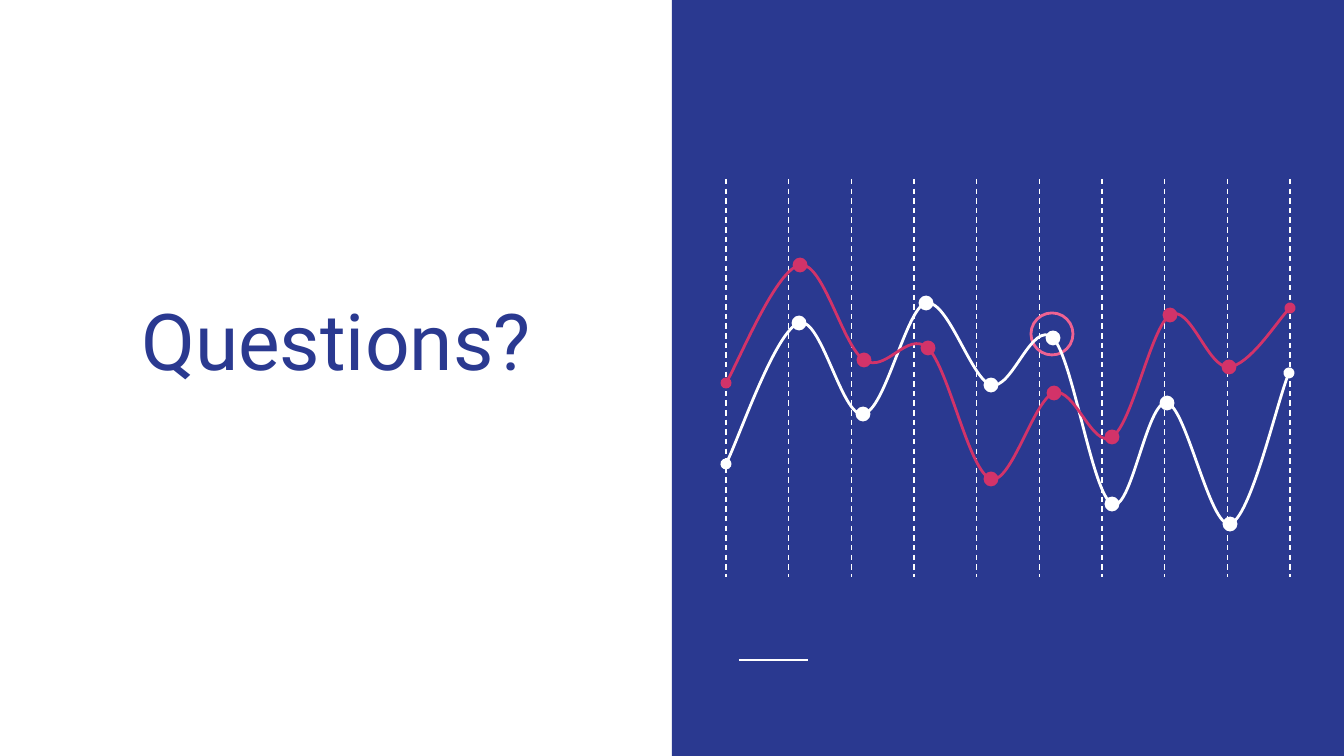
from lxml.etree import SubElement
from pptx import Presentation
from pptx.dml.color import RGBColor
from pptx.enum.dml import MSO_LINE_DASH_STYLE as DASH
from pptx.enum.shapes import MSO_CONNECTOR, MSO_SHAPE
from pptx.enum.text import MSO_ANCHOR, PP_ALIGN
from pptx.oxml.ns import qn
from pptx.util import Pt

EMU_PER_PX = 914400 / 134.4
SLIDE_WIDTH, SLIDE_HEIGHT = 1344, 756
FONT = "Roboto"
COLORS = {
    "navy": "2A3990",
    "white": "FFFFFF",
    "crimson": "D23369",
    "pink": "F06292",
}
GUIDE_COUNT = 10
MARKER_SIZE = 12

# Each curve has a start point, then rows of two control points and an anchor.
WHITE_CURVE = [
    (0, 285),
    (12, 262), (50, 152), (73, 144),
    (95, 136), (116, 239), (137, 235),
    (159, 233), (180, 129), (200, 124),
    (222, 120), (245, 200), (265, 206),
    (286, 212), (306, 140), (327, 159),
    (347, 179), (366, 314), (386, 325),
    (405, 336), (421, 220), (441, 224),
    (460, 227), (484, 349), (504, 345),
    (524, 340), (552, 219), (563, 194),
]
CRIMSON_CURVE = [
    (0, 204),
    (12, 184), (51, 90), (74, 86),
    (97, 82), (117, 168), (138, 181),
    (160, 195), (181, 151), (202, 169),
    (223, 190), (243, 293), (265, 300),
    (285, 306), (308, 220), (328, 214),
    (348, 207), (367, 271), (386, 258),
    (406, 246), (425, 148), (444, 136),
    (464, 124), (482, 190), (503, 188),
    (523, 186), (554, 138), (564, 129),
]


def px(length):
    return round(length * EMU_PER_PX)


def rgb(name):
    return RGBColor.from_string(COLORS[name])


def style_shape(shape, fill=None, line=None):
    shape.shadow.inherit = False
    if fill:
        shape.fill.solid()
        shape.fill.fore_color.rgb = rgb(fill)
    else:
        shape.fill.background()
    if line:
        shape.line.color.rgb = rgb(line)
        shape.line.width = Pt(1.5)
    else:
        shape.line.fill.background()


def add_shape(shapes, kind, box, fill=None, line=None):
    shape = shapes.add_shape(kind, *map(px, box))
    style_shape(shape, fill, line)


def add_line(shapes, start, end, width, dash=None):
    line = shapes.add_connector(MSO_CONNECTOR.STRAIGHT, *map(px, (*start, *end)))
    line.line.color.rgb = rgb("white")
    line.line.width = Pt(width)
    if dash:
        line.line.dash_style = dash
    SubElement(line._element.spPr, qn("a:effectLst"))


def add_curve(shapes, points, color):
    """Draw a Bezier curve with round ends, turning each three segments into one."""
    builder = shapes.build_freeform(*points[0], scale=EMU_PER_PX)
    builder.add_line_segments(points[1:], close=False)
    curve = builder.convert_to_shape()
    style_shape(curve, line=color)

    segments = list(curve._element.iter(qn("a:lnTo")))
    for first in range(0, len(segments), 3):
        bezier = SubElement(segments[first].getparent(), qn("a:cubicBezTo"))
        for segment in segments[first:first + 3]:
            bezier.append(segment[0])
            segment.getparent().remove(segment)

    outline = curve.line._get_or_add_ln()
    for end in ("a:headEnd", "a:tailEnd"):
        SubElement(outline, qn(end), type="oval")


def add_series(slide, box, points, color):
    left, top, _, _ = box
    placed = [(left + x, top + y) for x, y in points]
    shapes = slide.shapes.add_group_shape().shapes
    add_curve(shapes, placed, color)
    for x, y in placed[3:-1:3]:
        corner = (x - MARKER_SIZE / 2, y - MARKER_SIZE / 2)
        add_shape(shapes, MSO_SHAPE.OVAL, (*corner, MARKER_SIZE, MARKER_SIZE), color, color)


def add_guides(slide, box):
    left, top, width, height = box
    shapes = slide.shapes.add_group_shape().shapes
    for index in range(GUIDE_COUNT):
        x = left + index * width / (GUIDE_COUNT - 1)
        add_line(shapes, (x, top), (x, top + height), 0.75, DASH.DASH)


def add_plot(slide, box):
    left, top, _, _ = box
    add_guides(slide, box)
    add_shape(slide.shapes, MSO_SHAPE.OVAL, (left + 305, top + 134, 42, 42), line="pink")
    add_series(slide, box, WHITE_CURVE, "white")
    add_series(slide, box, CRIMSON_CURVE, "crimson")


def add_panel(slide, box):
    left, top, _, _ = box
    add_shape(slide.shapes, MSO_SHAPE.RECTANGLE, box, "navy")
    add_line(slide.shapes, (left + 67, top + 660), (left + 136, top + 660), 1.5)
    add_plot(slide, (left + 54, top + 179, 564, 398))


def add_title(slide, box):
    title = slide.shapes.add_textbox(*map(px, box))
    frame = title.text_frame
    frame.word_wrap = True
    frame.vertical_anchor = MSO_ANCHOR.BOTTOM
    frame.margin_left = frame.margin_right = px(13)
    frame.margin_top = frame.margin_bottom = px(13)
    frame.text = "Questions?"
    paragraph = frame.paragraphs[0]
    paragraph.alignment = PP_ALIGN.CENTER
    font = paragraph.runs[0].font
    font.name = FONT
    font.size = Pt(42)
    font.color.rgb = rgb("navy")


def main():
    presentation = Presentation()
    presentation.slide_width = px(SLIDE_WIDTH)
    presentation.slide_height = px(SLIDE_HEIGHT)
    slide = presentation.slides.add_slide(presentation.slide_layouts[6])
    half = SLIDE_WIDTH // 2
    add_panel(slide, (half, 0, half, SLIDE_HEIGHT))
    add_title(slide, (39, 169, 594, 230))
    presentation.save("out.pptx")


if __name__ == "__main__":
    main()
